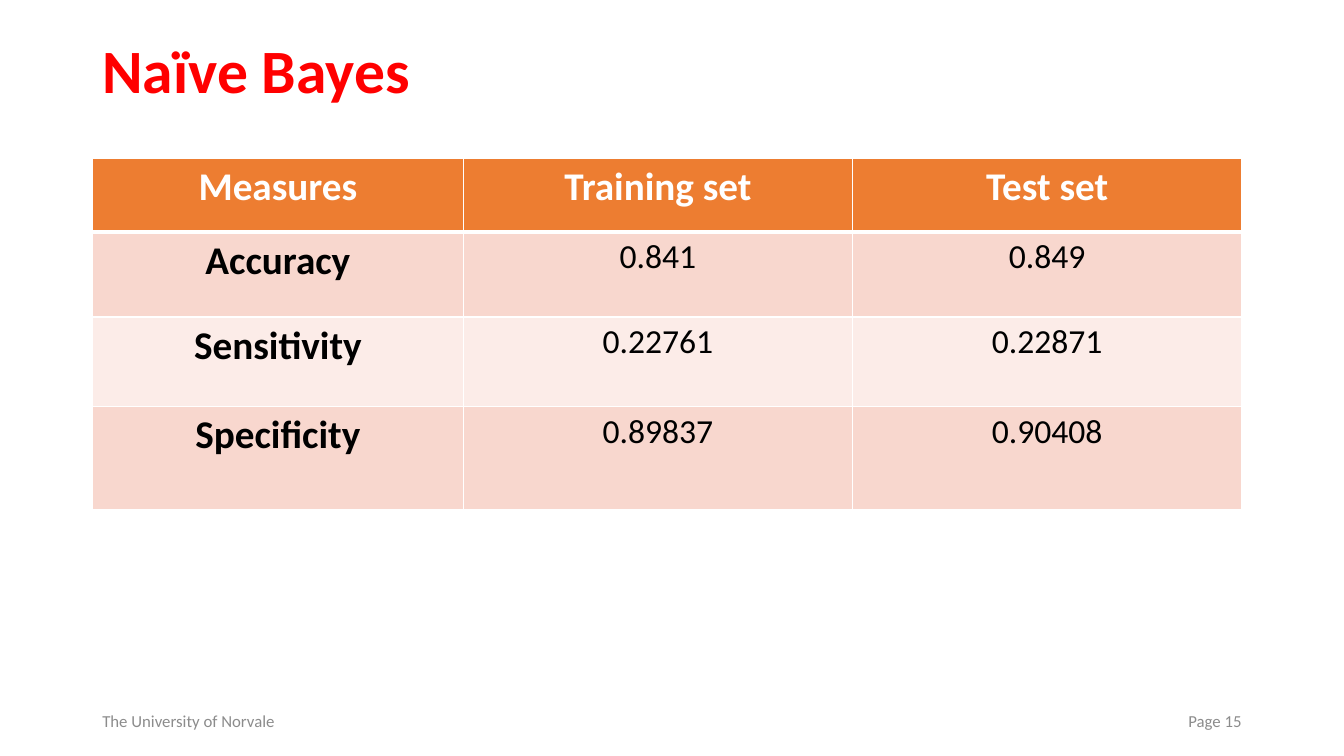
from lxml.etree import SubElement
from pptx import Presentation
from pptx.dml.color import RGBColor
from pptx.enum.text import MSO_ANCHOR, PP_ALIGN
from pptx.oxml.ns import qn
from pptx.util import Pt

WHITE, BLACK, RED, GREY = "FFFFFF", "000000", "FF0000", "8C8C8C"
ORANGE, PEACH, PALE = "ED7D31", "F8D7CE", "FCECE8"

ROWS = [
    ("Measures", "Training set", "Test set"),
    ("Accuracy", "0.841", "0.849"),
    ("Sensitivity", "0.22761", "0.22871"),
    ("Specificity", "0.89837", "0.90408"),
]
WIDTHS = (265, 278, 278)
HEIGHTS = (52.5, 61, 64, 73.5)


def color(code):
    return RGBColor.from_string(code)


def write(frame, text, size, code, bold=False, align=PP_ALIGN.LEFT):
    para = frame.paragraphs[0]
    para.alignment = align
    run = para.add_run()
    run.text = text
    font = run.font
    font.name, font.size, font.bold = "Calibri", Pt(size), bold
    font.color.rgb = color(code)
    return para


def place(shape, box):
    shape.left, shape.top, shape.width, shape.height = map(Pt, box)


def add_title(slide, box):
    title = slide.shapes.title
    place(title, box)
    frame = title.text_frame
    frame.vertical_anchor = MSO_ANCHOR.TOP
    write(frame, "Naïve Bayes", 44, RED, True).line_spacing = 0.9


def add_edge(cell, side, width):
    props = cell._tc.get_or_add_tcPr()
    line = SubElement(props, qn(f"a:ln{side}"), w=str(Pt(width)))
    fill = SubElement(line, qn("a:solidFill"))
    SubElement(fill, qn("a:srgbClr"), val=WHITE)


def fill_cell(cell, text, row, col):
    """Style a cell by its place: header row, label column or value."""
    head = row == 0
    label = head or col == 0
    write(cell.text_frame, text, 28 if label else 24,
          WHITE if head else BLACK, label, PP_ALIGN.CENTER)
    # The rule under the header is shared by the first two rows.
    for side, width in (("L", 1), ("R", 1),
                        ("T", 3 if row == 1 else 1), ("B", 3 if head else 1)):
        add_edge(cell, side, width)
    cell.fill.solid()
    shade = ORANGE if head else PEACH if row % 2 else PALE
    cell.fill.fore_color.rgb = color(shade)


def add_scores(slide, left, top):
    box = (left, top, sum(WIDTHS), sum(HEIGHTS))
    table = slide.shapes.add_table(
        len(ROWS), len(WIDTHS), *map(Pt, box)).table
    for col, width in enumerate(WIDTHS):
        table.columns[col].width = Pt(width)
    for row, texts in enumerate(ROWS):
        table.rows[row].height = Pt(HEIGHTS[row])
        for col, text in enumerate(texts):
            fill_cell(table.cell(row, col), text, row, col)


def add_footer(slide, box):
    left, top, width, height = box
    page = 216
    for text, x, wide, align in (
        ("The University of Norvale", left, 324, PP_ALIGN.LEFT),
        ("Page 15", left + width - page, page, PP_ALIGN.RIGHT),
    ):
        note = slide.shapes.add_textbox(*map(Pt, (x, top, wide, height)))
        frame = note.text_frame
        frame.word_wrap = True
        frame.vertical_anchor = MSO_ANCHOR.MIDDLE
        write(frame, text, 12, GREY, align=align)


def main():
    deck = Presentation()
    deck.slide_width, deck.slide_height = Pt(960), Pt(540)
    slide = deck.slides.add_slide(deck.slide_layouts.get_by_name("Title Only"))
    add_title(slide, (66, 25, 828, 104.5))
    add_scores(slide, 66, 113)
    add_footer(slide, (66, 500.5, 828, 29))
    deck.save("out.pptx")


if __name__ == "__main__":
    main()
